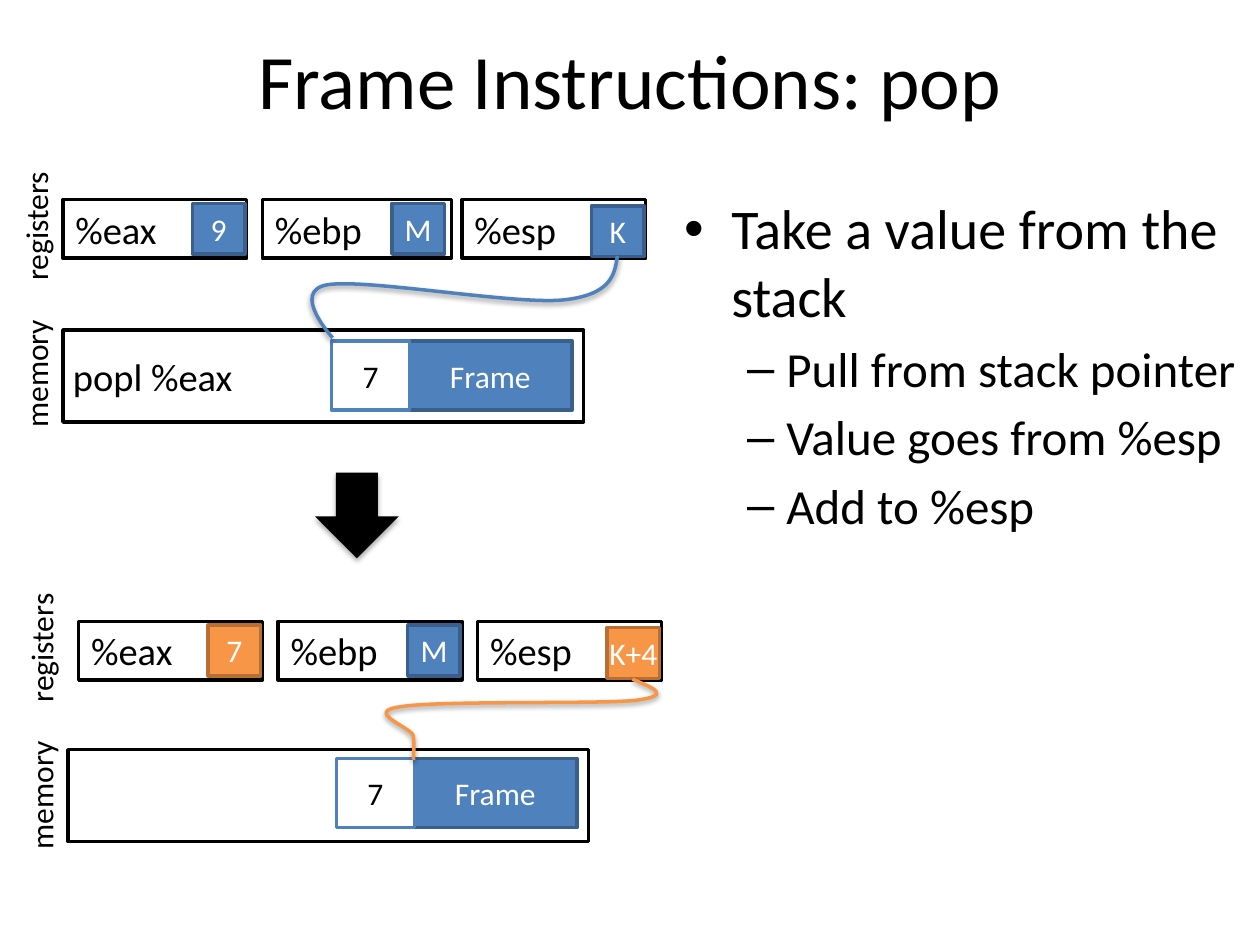
import pptx
import pptx.util
import pptx.dml.color
import pptx.enum.shapes
import pptx.enum.text
import pptx.oxml.ns
from lxml import etree

Pt = pptx.util.Pt
ALIGN = pptx.enum.text.PP_ALIGN
ANCHOR = pptx.enum.text.MSO_ANCHOR
FIT = pptx.enum.text.MSO_AUTO_SIZE
SHAPE = pptx.enum.shapes.MSO_SHAPE
qn = pptx.oxml.ns.qn

FONT = "Calibri"
COLORS = {"black": "000000", "white": "FFFFFF",
          "blue": "4F81BD", "dark blue": "3A5F8C",
          "orange": "F79646", "dark orange": "B76F34"}

TITLE = "Frame Instructions: pop"
# text, size, bullet, left margin, hanging indent
BULLETS = [
    ("Take a value from the stack", 32, "•", 27, 27),
    ("Pull from stack pointer", 28, "–", 58.5, 22.5),
    ("Value goes from %esp", 28, "–", 58.5, 22.5),
    ("Add to %esp", 28, "–", 58.5, 22.5),
]

# registers: name, value, value colour, box width, value offset from the top
# pointer: a start point, then Bezier points in threes
STATES = [
    {"registers_at": (36, 114), "label_left": -18, "memory_at": (36, 188.6),
     "registers": [("%eax", "9", "blue", 105, 2.2),
                   ("%ebp", "M", "blue", 108, 2.2),
                   ("%esp", "K", "blue", 105, 3.6)],
     "stack_at": (189.4, 194.8), "instruction": "popl %eax",
     "pointer_color": "blue",
     "pointer": [(352.8, 146.2),
                 (351.4, 157), (349.2, 168.5), (321.8, 171.4),
                 (293.8, 174.2), (209.5, 159.1), (187.2, 162.7),
                 (165.6, 166.3), (190.1, 193), (190.1, 193)]},
    {"registers_at": (45, 355), "label_left": -15, "memory_at": (39, 428.4),
     "registers": [("%eax", "7", "orange", 105, 2.2),
                   ("%ebp", "M", "blue", 105, 2.2),
                   ("%esp", "K+4", "orange", 105, 3.6)],
     "stack_at": (192.2, 433.4), "instruction": None,
     "pointer_color": "orange",
     "pointer": [(361.4, 388.1),
                 (373, 393.1), (385.2, 397.4), (362.9, 400.3),
                 (341.3, 402.5), (249.8, 400.3), (229, 403.9),
                 (207.4, 406.8), (234.7, 415.4), (236.2, 420.5),
                 (236.9, 425.5), (236.2, 434.2), (236.2, 434.2)]},
]
REGISTER_STEP, REGISTER_HEIGHT = 114, 33.6
VALUE_OFFSET, VALUE_SIZE = 74, (30, 29)
MEMORY_SIZE = (297.4, 52.6)
POPPED_WIDTH, FRAME_WIDTH, STACK_HEIGHT = 44.6, 93.6, 39.6
LABELS = [("registers", 0.5), ("memory", 84.5)]


def rgb(name):
    return pptx.dml.color.RGBColor.from_string(COLORS[name])


def format_runs(para, size, color="black"):
    for run in para.runs:
        run.font.size = Pt(size)
        run.font.name = FONT
        run.font.color.rgb = rgb(color)


def place(shape, left, top, width, height):
    shape.left, shape.top = Pt(left), Pt(top)
    shape.width, shape.height = Pt(width), Pt(height)


def add_shadow(shape, distance, opacity):
    """Give the shape a soft black shadow straight below it."""
    shape.shadow.inherit = False
    effects = shape._element.spPr.find(qn("a:effectLst"))
    shadow = etree.SubElement(effects, qn("a:outerShdw"), blurRad=str(Pt(3.1)),
                              dist=str(Pt(distance)), dir="5400000", rotWithShape="0")
    color = etree.SubElement(shadow, qn("a:srgbClr"), val=COLORS["black"])
    etree.SubElement(color, qn("a:alpha"), val=str(opacity * 1000))


def add_box(slide, left, top, width, height, fill, line, text="", size=18,
            color="white", align=ALIGN.CENTER, anchor=ANCHOR.MIDDLE):
    box = slide.shapes.add_shape(SHAPE.RECTANGLE, Pt(left), Pt(top), Pt(width), Pt(height))
    box.shadow.inherit = False
    box.fill.solid()
    box.fill.fore_color.rgb = rgb(fill)
    box.line.color.rgb = rgb(line)
    box.line.width = Pt(2)
    frame = box.text_frame
    frame.text = text
    frame.vertical_anchor = anchor
    frame.paragraphs[0].alignment = align
    format_runs(frame.paragraphs[0], size, color)
    return box


def add_text(slide, left, top, width, height, text, size):
    box = slide.shapes.add_textbox(Pt(left), Pt(top), Pt(width), Pt(height))
    box.text_frame.text = text
    box.text_frame.word_wrap = False
    box.text_frame.auto_size = FIT.SHAPE_TO_FIT_TEXT
    format_runs(box.text_frame.paragraphs[0], size)
    return box


def add_curve(slide, points, color):
    """Draw a Bezier curve: outline its points, then turn each three lines into one curve."""
    points = [(Pt(x), Pt(y)) for x, y in points]
    builder = slide.shapes.build_freeform(*points[0], scale=1.0)
    builder.add_line_segments(points[1:], close=False)
    curve = builder.convert_to_shape()
    lines = list(curve._element.iter(qn("a:lnTo")))
    for first in range(0, len(lines), 3):
        bezier = etree.Element(qn("a:cubicBezTo"))
        lines[first].addprevious(bezier)
        for line in lines[first:first + 3]:
            bezier.append(line[0])
            line.getparent().remove(line)
    curve.fill.background()
    curve.line.color.rgb = rgb(color)
    curve.line.width = Pt(2)
    add_shadow(curve, 1.6, 38)


def add_registers(slide, state):
    left, top = state["registers_at"]
    for index, (name, value, color, width, drop) in enumerate(state["registers"]):
        x = left + index * REGISTER_STEP
        add_box(slide, x, top, width, REGISTER_HEIGHT, "white", "black", name, 22,
                "black", ALIGN.LEFT, ANCHOR.TOP)
        cell = add_box(slide, x + VALUE_OFFSET, top + drop, *VALUE_SIZE, color,
                       "dark " + color, value, anchor=ANCHOR.TOP)
        if len(value) > 1:
            cell.text_frame.margin_left = cell.text_frame.margin_right = 0


def add_memory(slide, state):
    add_box(slide, *state["memory_at"], *MEMORY_SIZE, "white", "black")
    left, top = state["stack_at"]
    add_box(slide, left + POPPED_WIDTH - 0.6, top, FRAME_WIDTH, STACK_HEIGHT,
            "blue", "dark blue", "Frame")
    add_box(slide, left, top, POPPED_WIDTH, STACK_HEIGHT, "white", "blue", "7", color="black")
    if state["instruction"]:
        x, y = state["memory_at"]
        add_text(slide, x - 1.4, y + 9.4, 106.6, 33.6, state["instruction"], 22)


def add_bullets(slide):
    box = slide.shapes.add_textbox(Pt(383.8), Pt(107.3), Pt(329.8), Pt(356.4))
    frame = box.text_frame
    frame.word_wrap = True
    frame.text = "\n".join(bullet[0] for bullet in BULLETS)
    for para, (_, size, mark, margin, hang) in zip(frame.paragraphs, BULLETS):
        para.level = int(mark == "–")
        para.space_before = Pt(size * 0.2)
        format_runs(para, size)
        properties = para._p.get_or_add_pPr()
        properties.set("marL", str(Pt(margin)))
        properties.set("indent", str(-Pt(hang)))
        etree.SubElement(properties, qn("a:buFont"), typeface="Arial")
        etree.SubElement(properties, qn("a:buChar"), char=mark)


def main():
    deck = pptx.Presentation()
    deck.slide_width, deck.slide_height = Pt(720), Pt(540)
    slide = deck.slides.add_slide(deck.slide_layouts[5])

    title = slide.shapes.title
    place(title, 36, 0, 648, 90)
    title.text_frame.text = TITLE
    title.text_frame.vertical_anchor = ANCHOR.MIDDLE
    title.text_frame.paragraphs[0].alignment = ALIGN.CENTER
    format_runs(title.text_frame.paragraphs[0], 44)
    add_bullets(slide)

    arrow = slide.shapes.add_shape(SHAPE.DOWN_ARROW, Pt(180), Pt(270), Pt(48), Pt(49))
    arrow.fill.solid()
    arrow.fill.fore_color.rgb = rgb("black")
    arrow.line.fill.background()
    add_shadow(arrow, 1.8, 35)

    for state in STATES:
        add_registers(slide, state)
        add_memory(slide, state)
        for text, drop in LABELS:
            label = add_text(slide, state["label_left"], state["registers_at"][1] + drop,
                             77, 29, text, 18)
            label.rotation = 270
        add_curve(slide, state["pointer"], state["pointer_color"])

    deck.save("out.pptx")


if __name__ == "__main__":
    main()
